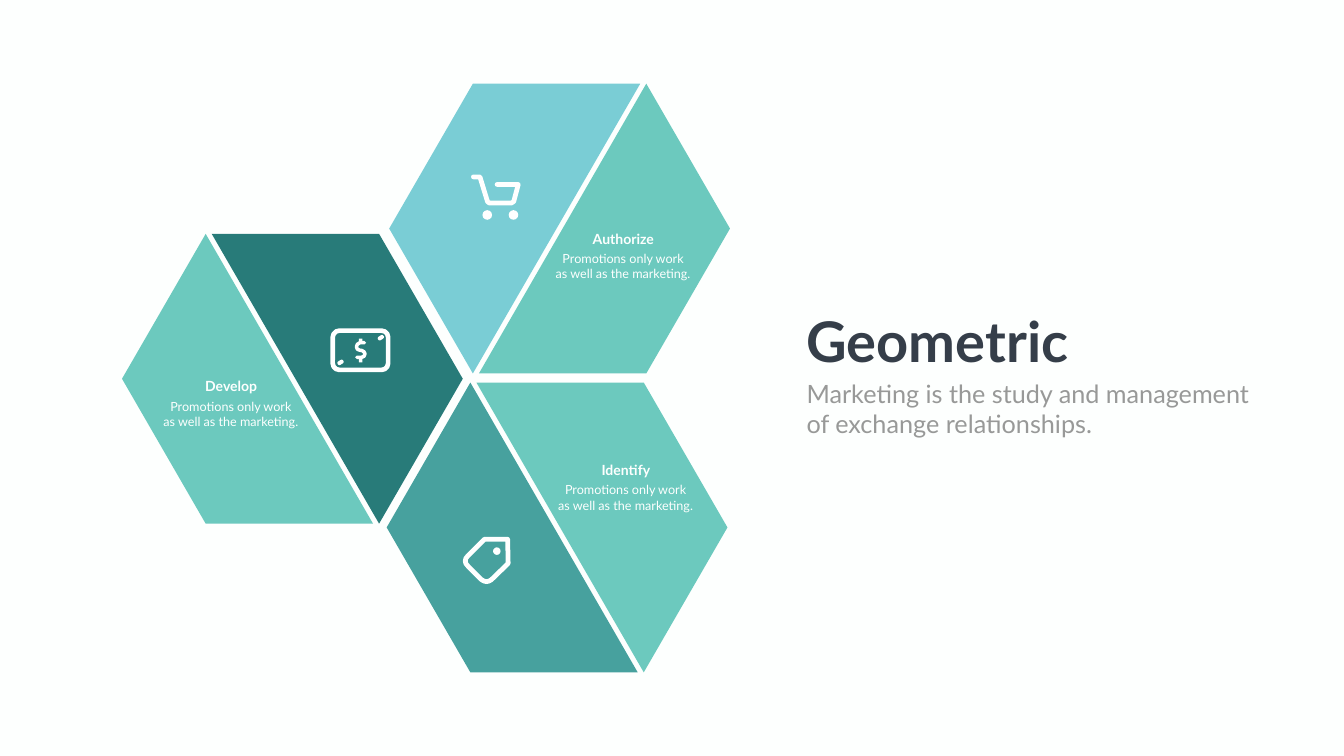
from lxml.etree import SubElement
from pptx import Presentation
from pptx.dml.color import RGBColor
from pptx.enum.shapes import MSO_SHAPE
from pptx.enum.text import PP_ALIGN
from pptx.oxml.ns import qn
from pptx.util import Inches, Pt

COLORS = {
    "paper": "FDFFFE", "white": "FFFFFF", "mint": "6CC9BE", "pine": "287B79",
    "sky": "7ACDD5", "teal": "47A19E", "ink": "353E49", "grey": "989998",
}
FORMATS = {
    "title": {"size": Pt(80), "bold": True, "color": "ink"},
    "subtitle": {"size": Pt(36), "bold": False, "color": "grey"},
    "heading": {"size": Pt(20), "bold": True, "color": "paper"},
    "body": {"size": Pt(18), "bold": False, "color": "paper"},
}
HEX_WIDTH, HEX_HEIGHT = 6.76, 5.75
SLANT, EDGE, GAP = 1.66, 3.32, 0.12
PROMOTION = ["Promotions only work", "as well as the marketing."]


def rgb(name):
    """Return the named colour."""
    return RGBColor.from_string(COLORS[name])


def fill_shape(shape, color):
    """Give a shape a flat fill without line or shadow."""
    shape.shadow.inherit = False
    shape.fill.solid()
    shape.fill.fore_color.rgb = rgb(color)
    shape.line.fill.background()


def stroke_shape(shape, width):
    """Give a shape a white rounded stroke without fill or shadow."""
    shape.shadow.inherit = False
    shape.fill.background()
    shape.line.color.rgb = rgb("white")
    shape.line.width = Pt(width)
    outline = shape.element.spPr.find(qn("a:ln"))
    outline.set("cap", "rnd")
    SubElement(outline, qn("a:round"))


def add_outline(slide, left, top, points, close=True):
    """Draw a path of points relative to a corner."""
    corners = [(Inches(left + x), Inches(top + y)) for x, y in points]
    builder = slide.shapes.build_freeform(*corners[0])
    builder.add_line_segments(corners[1:], close=close)
    return builder.convert_to_shape()


def add_part(slide, kind, left, top, width, height):
    """Place a preset shape by its box."""
    return slide.shapes.add_shape(
        kind, Inches(left), Inches(top), Inches(width), Inches(height))


def add_text(slide, left, top, width, height, lines, style, align=PP_ALIGN.CENTER):
    """Place lines of text in one style."""
    box = slide.shapes.add_textbox(
        Inches(left), Inches(top), Inches(width), Inches(height))
    box.text_frame.word_wrap = True
    for index, line in enumerate(lines):
        paragraph = box.text_frame.paragraphs[0] if index == 0 else box.text_frame.add_paragraph()
        paragraph.alignment = align
        run = paragraph.add_run()
        run.text = line
        run.font.name = "Lato"
        for name, value in FORMATS[style].items():
            if name == "color":
                run.font.color.rgb = rgb(value)
            else:
                setattr(run.font, name, value)


def draw_cart(slide, left, top):
    """Draw the shopping cart icon."""
    basket = [(0.05, 0.05), (0.18, 0.05), (0.33, 0.54), (0.37, 0.57),
              (0.8, 0.57), (0.85, 0.54), (0.94, 0.2), (0.52, 0.2)]
    stroke_shape(add_outline(slide, left, top, basket, close=False), 6.8)
    for x in (0.23, 0.75):
        fill_shape(add_part(slide, MSO_SHAPE.OVAL, left + x, top + 0.71, 0.19, 0.19), "white")


def draw_tag(slide, left, top):
    """Draw the price tag icon."""
    label = [(0.43, 0.05), (0.89, 0.05), (0.9, 0.53), (0.57, 0.85), (0.52, 0.88),
             (0.47, 0.89), (0.42, 0.88), (0.37, 0.85), (0.1, 0.58), (0.06, 0.53),
             (0.05, 0.48), (0.06, 0.43), (0.1, 0.38)]
    stroke_shape(add_outline(slide, left, top, label), 6.8)
    fill_shape(add_part(slide, MSO_SHAPE.OVAL, left + 0.6, top + 0.21, 0.15, 0.15), "white")


def draw_banknote(slide, left, top):
    """Draw the banknote icon."""
    note = add_part(slide, MSO_SHAPE.ROUNDED_RECTANGLE, left + 0.05, top + 0.04, 1.1, 0.78)
    note.adjustments[0] = 0.17
    stroke_shape(note, 6.6)
    dollar = [(0.68, 0.28), (0.59, 0.28), (0.54, 0.31), (0.52, 0.36), (0.54, 0.41),
              (0.59, 0.43), (0.62, 0.43), (0.67, 0.46), (0.69, 0.5), (0.67, 0.55),
              (0.62, 0.57), (0.53, 0.57)]
    stroke_shape(add_outline(slide, left, top, dollar, close=False), 5)
    for y in (0.2, 0.58):
        fill_shape(add_part(slide, MSO_SHAPE.RECTANGLE, left + 0.57, top + y, 0.07, 0.09), "white")
    for x, y in ((0.94, 0.14), (0.14, 0.63)):
        pip = add_part(slide, MSO_SHAPE.ROUNDED_RECTANGLE, left + x, top + y, 0.13, 0.08)
        pip.adjustments[0] = 0.45
        pip.rotation = -32
        fill_shape(pip, "white")


def draw_hexagon(slide, left, top, hexagon):
    """Draw a split hexagon with its icon and caption."""
    start, end = (HEX_HEIGHT, 0) if hexagon["flipped"] else (0, HEX_HEIGHT)
    middle, inner = HEX_HEIGHT / 2, SLANT + GAP
    halves = (
        [(0, middle), (SLANT, end), (SLANT + EDGE, end), (SLANT, start)],
        [(inner + EDGE, start), (inner, start), (inner + EDGE, end), (HEX_WIDTH, middle)],
    )
    for half, color in zip(halves, hexagon["colors"]):
        fill_shape(add_outline(slide, left, top, half), color)
    icon_x, icon_y = hexagon["icon_at"]
    hexagon["icon"](slide, left + icon_x, top + icon_y)
    caption_x, caption_y = hexagon["caption_at"]
    caption_left, caption_top = left + caption_x, top + caption_y
    add_text(slide, caption_left + 0.74, caption_top, 1.89, 0.44, [hexagon["heading"]], "heading")
    add_text(slide, caption_left, caption_top + 0.41, 3.36, 0.71, PROMOTION, "body")


def draw_headline(slide, left, top, width):
    """Draw the title and its subtitle."""
    add_text(slide, left, top, width, 1.45, ["Geometric"], "title", PP_ALIGN.LEFT)
    subtitle = ["Marketing is the study and management", "of exchange relationships."]
    add_text(slide, left, top + 1.42, width, 1.31, subtitle, "subtitle", PP_ALIGN.LEFT)


HEXAGONS = [
    {"at": (2.42, 4.64), "flipped": False, "colors": ("mint", "pine"), "heading": "Develop",
     "caption_at": (0.48, 2.81), "icon": draw_banknote, "icon_at": (4.13, 1.88)},
    {"at": (7.72, 1.66), "flipped": True, "colors": ("sky", "mint"), "heading": "Authorize",
     "caption_at": (2.96, 2.86), "icon": draw_cart, "icon_at": (1.62, 1.8)},
    {"at": (7.67, 7.59), "flipped": False, "colors": ("teal", "mint"), "heading": "Identify",
     "caption_at": (3.06, 1.52), "icon": draw_tag, "icon_at": (1.51, 3.06)},
]


def main():
    """Build the slide and save it."""
    deck = Presentation()
    deck.slide_width, deck.slide_height = Inches(26.66), Inches(15)
    slide = deck.slides.add_slide(deck.slide_layouts[6])
    slide.background.fill.solid()
    slide.background.fill.fore_color.rgb = rgb("paper")
    for hexagon in HEXAGONS:
        draw_hexagon(slide, *hexagon["at"], hexagon)
    draw_headline(slide, 15.9, 6.04, 9.74)
    deck.save("out.pptx")


if __name__ == "__main__":
    main()
